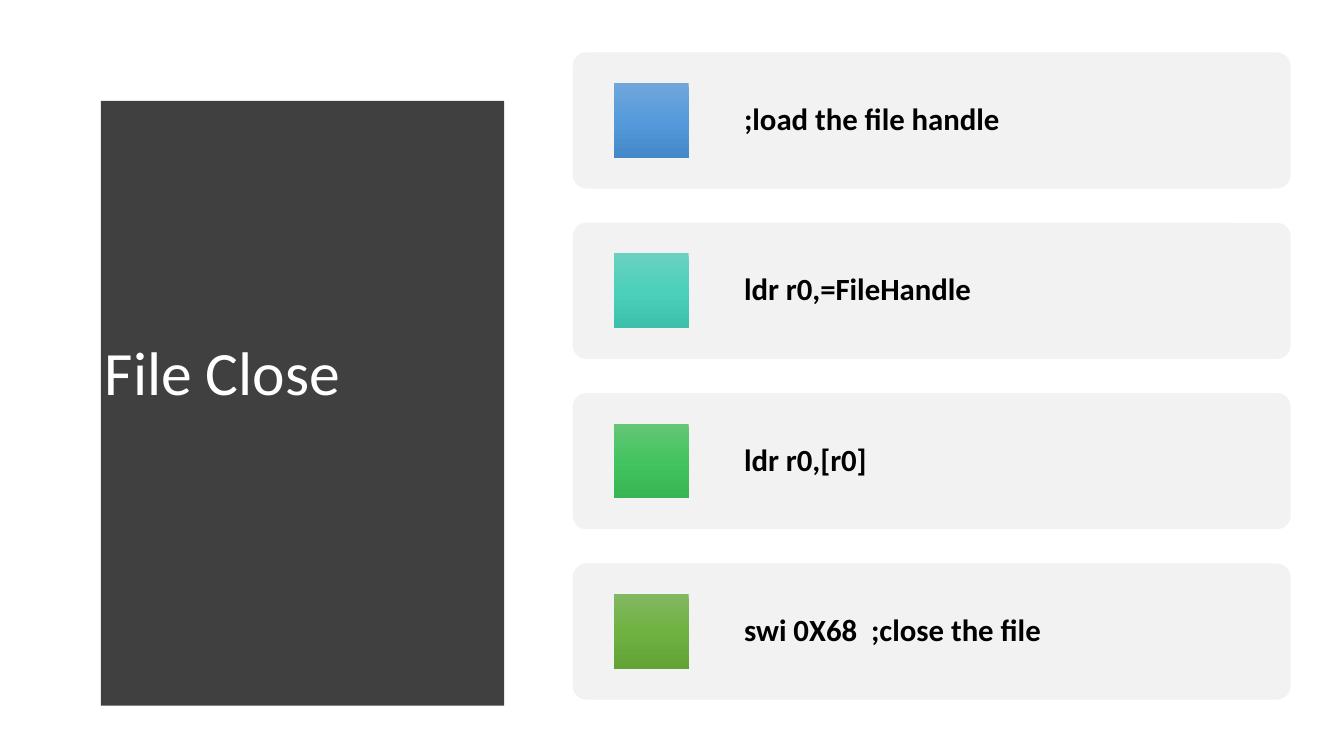
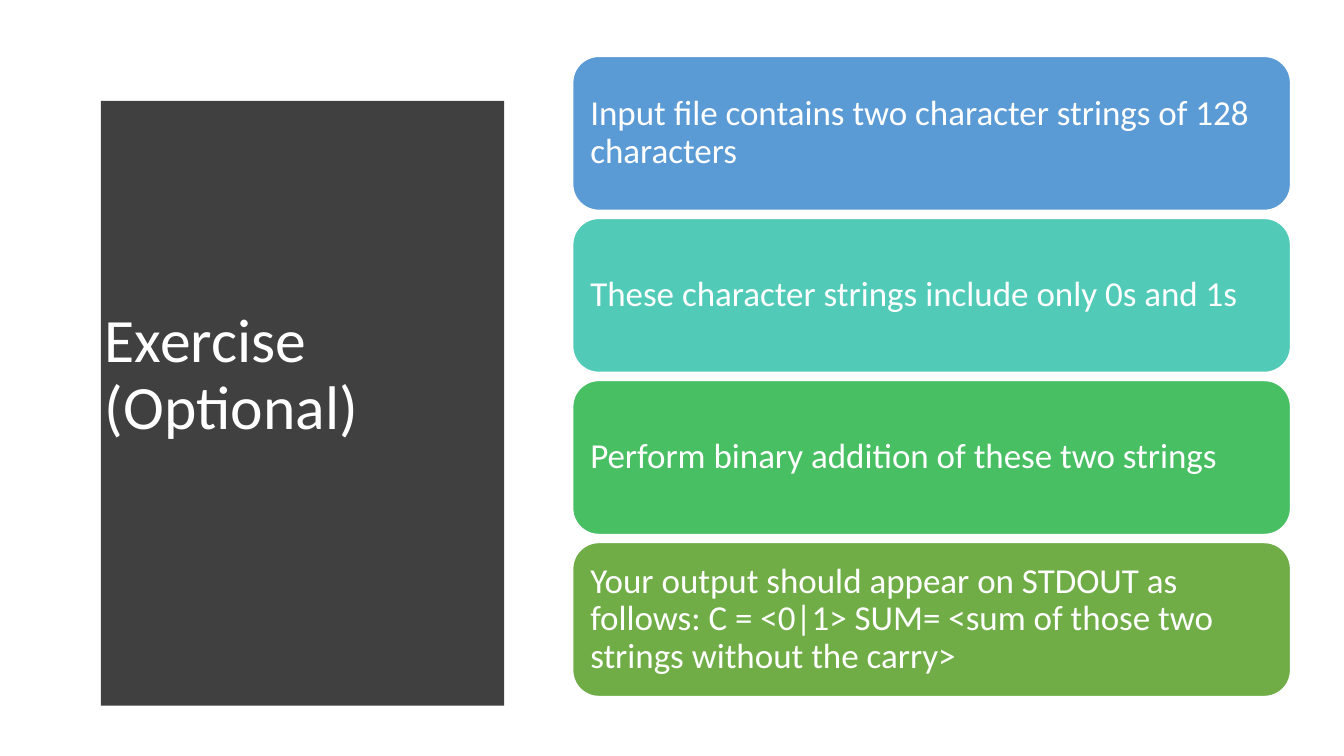
from copy import deepcopy

from pptx import Presentation
from pptx.dml.color import RGBColor
from pptx.enum.shapes import MSO_SHAPE
from pptx.enum.text import MSO_ANCHOR, MSO_AUTO_SIZE, PP_ALIGN
from pptx.oxml.ns import qn
from pptx.util import Inches, Pt

RECTANGLE, ROUNDED = MSO_SHAPE.RECTANGLE, MSO_SHAPE.ROUNDED_RECTANGLE
MIDDLE, LEFT, NO_FIT = MSO_ANCHOR.MIDDLE, PP_ALIGN.LEFT, MSO_AUTO_SIZE.NONE

CLOSE_TITLE = "File Close"
CLOSE_STEPS = [
    (";load the file handle", ("71A6DB", "559BDB", "448ACA")),
    ("ldr r0,=FileHandle", ("6AD1C0", "4CD0BC", "3CC0AC")),
    ("ldr r0,[r0]", ("64C677", "44C460", "36B552")),
    ("swi 0X68  ;close the file", ("81B861", "6FB242", "62A336")),
]
EXERCISE_TITLE = "Exercise (Optional)"
EXERCISE_RULES = [
    ("Input file contains two character strings of 128 characters", "blue"),
    ("These character strings include only 0s and 1s", "teal"),
    ("Perform binary addition of these two strings", "green"),
    ("Your output should appear on STDOUT as follows: C = <0|1> "
     "SUM= <sum of those two strings without the carry>", "olive"),
]

COLORS = {"panel": "404040", "card": "F2F2F2", "white": "FFFFFF", "black": "000000",
          "blue": "5B9BD5", "teal": "52CAB8", "green": "49BF64", "olive": "70AD47"}
FONT = "Calibri"
WIDTH, HEIGHT = 13.33, 7.5
PANEL_LEFT, PANEL_TOP, PANEL_RIGHT, PANEL_BOTTOM = 0.53, 0.52, 5.08, 6.96
PANEL_BULGE, CURVE_STEPS = 0.24, 48
TITLE_AREA = (0.94, 1.11, 3.74, 5.24)
CARD_LEFT, CARD_WIDTH = 5.68, 7.12
ICON_INDENT, ICON_SIZE, CODE_INDENT = 0.41, 0.74, 1.66


def color(name):
    return RGBColor.from_string(COLORS[name])


def write(box, text, size, ink="white", bold=False, inset=0.1, indent=None):
    frame = box.text_frame
    frame.word_wrap = True
    frame.auto_size = NO_FIT
    frame.vertical_anchor = MIDDLE
    frame.margin_top = frame.margin_right = frame.margin_bottom = Inches(inset)
    frame.margin_left = Inches(inset if indent is None else indent)
    frame.text = text
    para = frame.paragraphs[0]
    para.alignment = LEFT
    para.line_spacing = 0.9
    font = para.font
    font.name, font.size, font.bold = FONT, Pt(size), bold
    font.color.rgb = color(ink)


def add_shape(page, kind, left, top, width, height):
    shape = page.shapes.add_shape(kind, *map(Inches, (left, top, width, height)))
    shape.shadow.inherit = False
    shape.line.fill.background()
    return shape


def paint(shape, name):
    shape.fill.solid()
    shape.fill.fore_color.rgb = color(name)


def paint_gradient(shape, hexes):
    """Fill from top to bottom with three evenly placed colours."""
    shape.fill.gradient()
    shape.fill.gradient_angle = 270
    stop_list = next(shape.element.spPr.iter(qn("a:gsLst")))
    stop_list.append(deepcopy(stop_list[-1]))
    for index, (stop, value) in enumerate(zip(shape.fill.gradient_stops, hexes)):
        stop.position = index / 2
        stop.color.rgb = RGBColor.from_string(value)


def add_panel(page):
    """Dark panel whose right edge is a shallow parabola."""
    shares = [step / CURVE_STEPS for step in range(CURVE_STEPS + 1)]
    edge = [(PANEL_RIGHT + PANEL_BULGE * 4 * share * (1 - share),
             PANEL_TOP + share * (PANEL_BOTTOM - PANEL_TOP)) for share in shares]
    builder = page.shapes.build_freeform(PANEL_LEFT, PANEL_TOP, scale=Inches(1))
    builder.add_line_segments(edge + [(PANEL_LEFT, PANEL_BOTTOM)], close=True)
    panel = builder.convert_to_shape()
    panel.shadow.inherit = False
    panel.line.fill.background()
    paint(panel, "panel")
    page.shapes.title.element.addprevious(panel.element)


def add_page(deck, title):
    page = deck.slides.add_slide(deck.slide_layouts[5])
    add_panel(page)
    box = page.shapes.title
    box.left, box.top, box.width, box.height = map(Inches, TITLE_AREA)
    write(box, title, 44)
    return page


def add_cards(page, count, top, bottom, gap, rounding):
    """Yield equal cards stacked between top and bottom, with top and height."""
    height = (bottom - top - gap * (count - 1)) / count
    for row in range(count):
        y = top + row * (height + gap)
        card = add_shape(page, ROUNDED, CARD_LEFT, y, CARD_WIDTH, height)
        card.adjustments[0] = rounding
        yield card, y, height


def build_close_page(deck):
    page = add_page(deck, CLOSE_TITLE)
    cards = add_cards(page, len(CLOSE_STEPS), 0.52, 6.94, 0.34, 0.1)
    for (code, hexes), (card, y, height) in zip(CLOSE_STEPS, cards):
        paint(card, "card")
        write(card, code, 22, ink="black", bold=True, indent=CODE_INDENT)
        icon = add_shape(page, RECTANGLE, CARD_LEFT + ICON_INDENT,
                         y + (height - ICON_SIZE) / 2, ICON_SIZE, ICON_SIZE)
        paint_gradient(icon, hexes)


def build_exercise_page(deck):
    page = add_page(deck, EXERCISE_TITLE)
    cards = add_cards(page, len(EXERCISE_RULES), 0.56, 6.91, 0.08, 0.17)
    for (rule, fill), (card, _, _) in zip(EXERCISE_RULES, cards):
        paint(card, fill)
        card.line.color.rgb = color("white")
        card.line.width = Pt(1)
        write(card, rule, 25)


def main():
    deck = Presentation()
    deck.slide_width, deck.slide_height = Inches(WIDTH), Inches(HEIGHT)
    build_close_page(deck)
    build_exercise_page(deck)
    deck.save("out.pptx")


if __name__ == "__main__":
    main()
